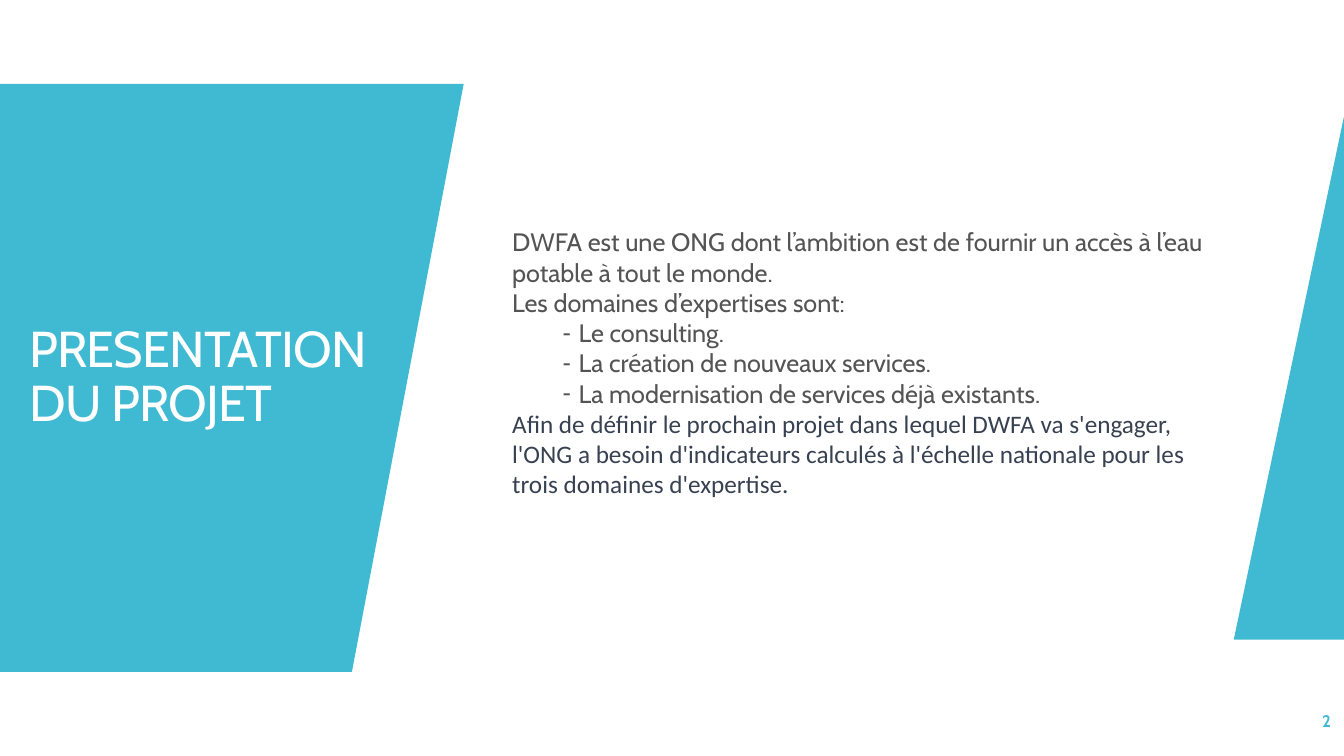
from lxml import etree
from pptx import Presentation
from pptx import util as u
from pptx.dml.color import RGBColor
from pptx.enum import text
from pptx.oxml import ns

WIDTH, HEIGHT = u.Inches(13.33), u.Inches(7.5)
TURQUOISE = RGBColor(0x40, 0xBA, 0xD2)
WHITE = RGBColor(0xFF, 0xFF, 0xFF)
GREY = RGBColor(0x54, 0x54, 0x54)
SLATE = RGBColor(0x37, 0x41, 0x51)

BODY = [
    ("DWFA est une ONG dont l’ambition est de fournir un accès à l’eau potable à tout le monde.", False, "Cabin", GREY),
    ("Les domaines d’expertises sont:", False, "Cabin", GREY),
    ("Le consulting.", True, "Cabin", GREY),
    ("La création de nouveaux services.", True, "Cabin", GREY),
    ("La modernisation de services déjà existants.", True, "Cabin", GREY),
    ("Afin de définir le prochain projet dans lequel DWFA va s'engager, l'ONG a besoin "
     "d'indicateurs calculés à l'échelle nationale pour les trois domaines d'expertise.",
     False, "Calibri", SLATE),
]


def across(percent):
    return round(WIDTH * percent / 100)


def down(percent):
    return round(HEIGHT * percent / 100)


def place(shape, left, top, width, height):
    shape.left, shape.top = across(left), down(top)
    shape.width, shape.height = across(width), down(height)


def add_panel(slide, corners):
    points = [(across(x), down(y)) for x, y in corners]
    builder = slide.shapes.build_freeform(*points[0], scale=1.0)
    builder.add_line_segments(points[1:], close=True)
    panel = builder.convert_to_shape()
    panel.shadow.inherit = False
    panel.fill.solid()
    panel.fill.fore_color.rgb = TURQUOISE
    panel.line.fill.background()


def set_frame(shape, anchor):
    frame = shape.text_frame
    frame.word_wrap = True
    frame.auto_size = text.MSO_AUTO_SIZE.NONE
    frame.vertical_anchor = anchor
    return frame


def set_font(paragraph, name, size, color, bold=False):
    font = paragraph.font
    font.name, font.size, font.bold = name, u.Pt(size), bold
    font.color.rgb = color


def set_bullet(paragraph, dashed):
    properties = paragraph._p.get_or_add_pPr()
    margin, indent = (0.66, -0.16) if dashed else (0, 0)
    properties.set("marL", str(u.Inches(margin)))
    properties.set("indent", str(u.Inches(indent)))
    if dashed:
        etree.SubElement(properties, ns.qn("a:buChar")).set("char", "-")
    else:
        etree.SubElement(properties, ns.qn("a:buNone"))


def add_title(slide):
    title = slide.shapes.title
    place(title, 1.43, 24.53, 28.28, 50.93)
    paragraph = set_frame(title, text.MSO_ANCHOR.MIDDLE).paragraphs[0]
    run = paragraph.add_run()
    run.text = "PRESENTATION DU PROJET"
    run._r.get_or_add_rPr().set("spc", "-60")
    paragraph.alignment = text.PP_ALIGN.LEFT
    paragraph.line_spacing = 0.9
    paragraph.space_after = u.Pt(6)
    set_font(paragraph, "Cabin", 36, WHITE)


def add_body(slide):
    body = slide.placeholders[1]
    place(body, 37.36, 29.33, 53.34, 41.73)
    frame = set_frame(body, text.MSO_ANCHOR.TOP)
    for index, (wording, dashed, font_name, color) in enumerate(BODY):
        paragraph = frame.add_paragraph() if index else frame.paragraphs[0]
        paragraph.text = wording
        set_bullet(paragraph, dashed)
        paragraph.space_before = u.Pt(0)
        set_font(paragraph, font_name, 18, color)


def add_page_number(slide):
    box = slide.shapes.add_textbox(across(87.25), down(92.67), across(12.53), down(5.33))
    paragraph = set_frame(box, text.MSO_ANCHOR.MIDDLE).paragraphs[0]
    paragraph.text = "2"
    paragraph.alignment = text.PP_ALIGN.RIGHT
    set_font(paragraph, "Cabin", 12, TURQUOISE, bold=True)


def main():
    presentation = Presentation()
    presentation.slide_width, presentation.slide_height = WIDTH, HEIGHT
    slide = presentation.slides.add_slide(presentation.slide_layouts[1])
    slide.background.fill.solid()
    slide.background.fill.fore_color.rgb = WHITE
    add_panel(slide, [(0, 11.11), (34.5, 11.11), (26.18, 88.89), (0, 88.89)])
    add_panel(slide, [(100, 15.42), (100, 84.59), (91.8, 84.59)])
    tree = slide.shapes._spTree
    for placeholder in list(slide.placeholders):
        tree.append(placeholder._element)
    add_title(slide)
    add_body(slide)
    add_page_number(slide)
    presentation.save("out.pptx")


if __name__ == "__main__":
    main()
